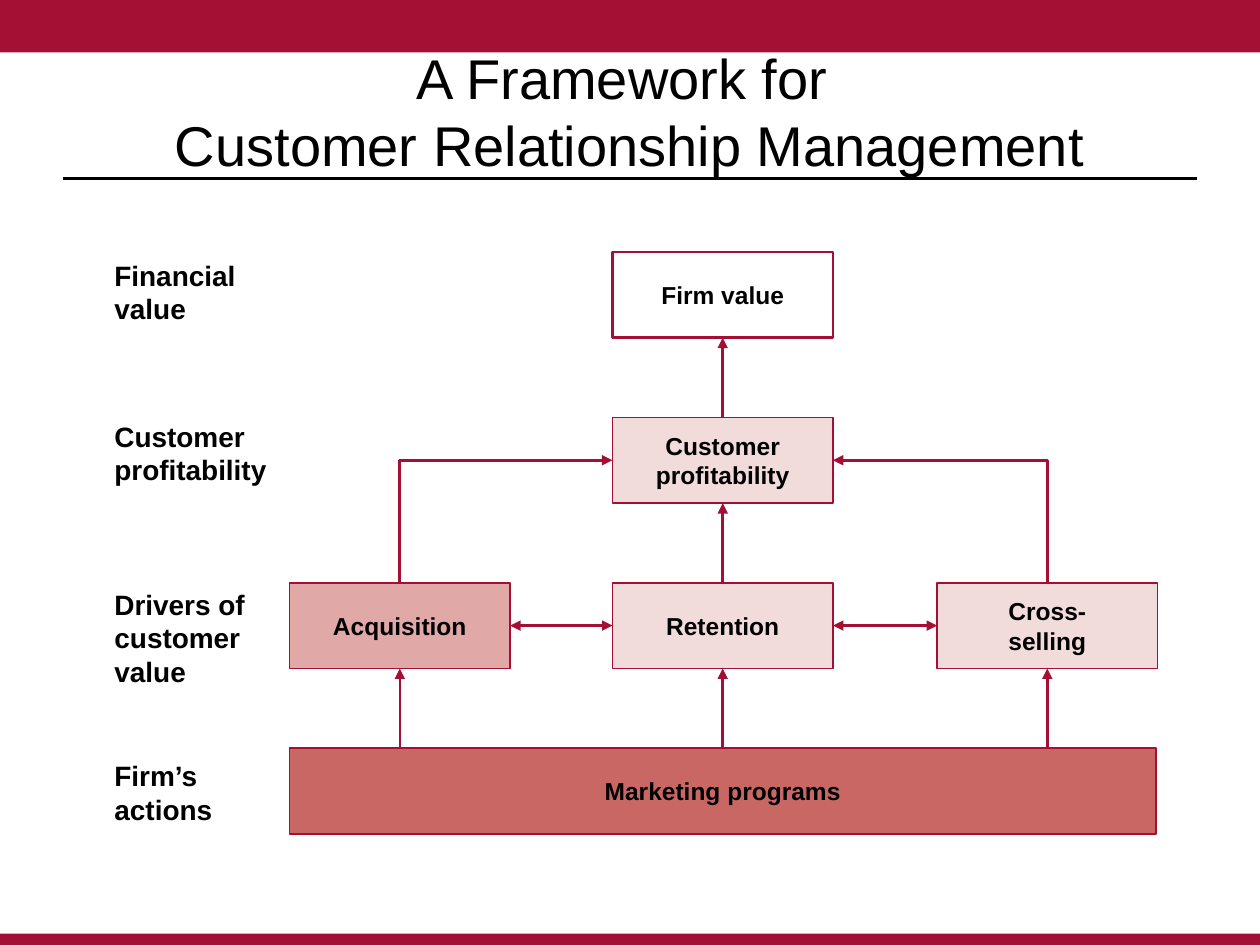
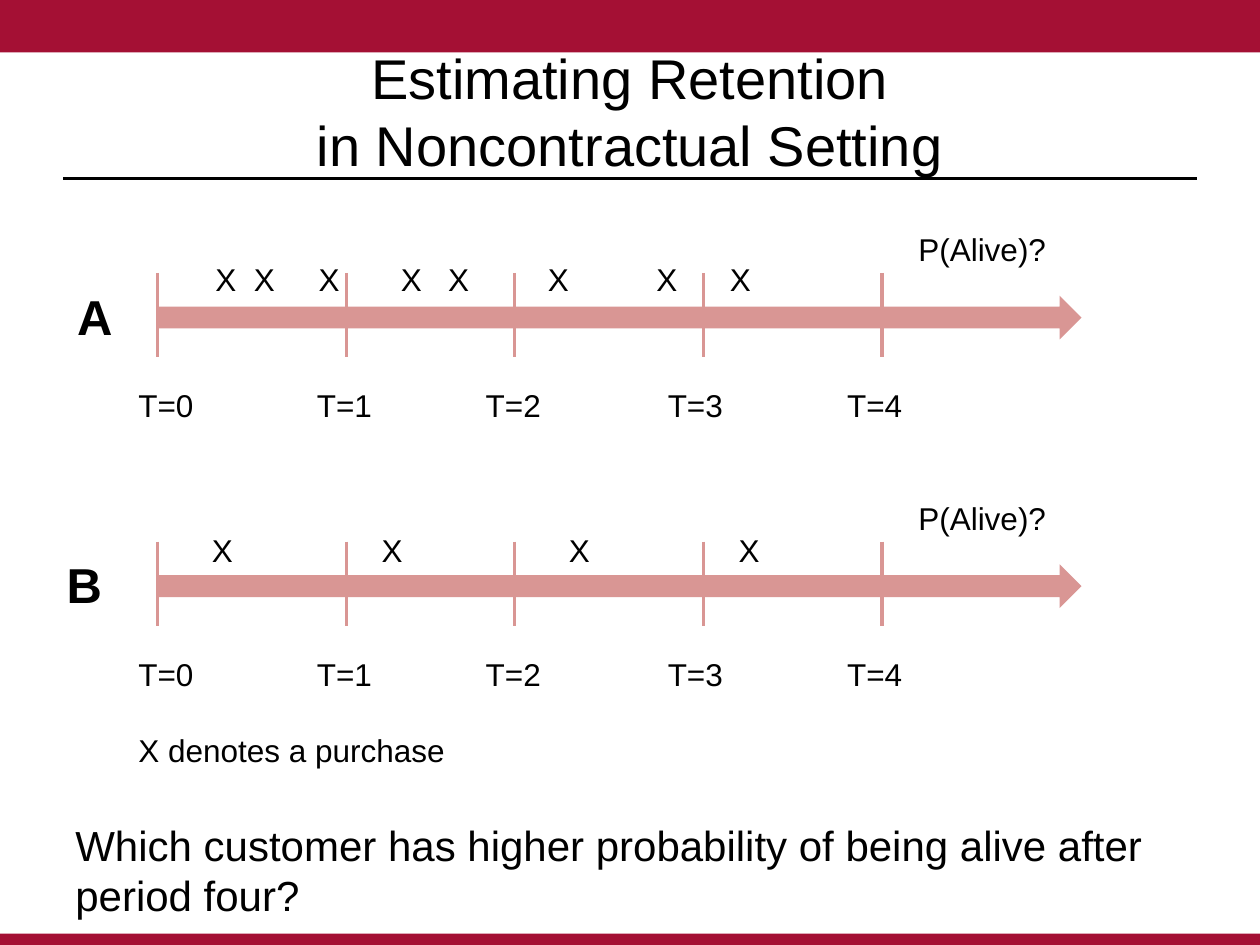
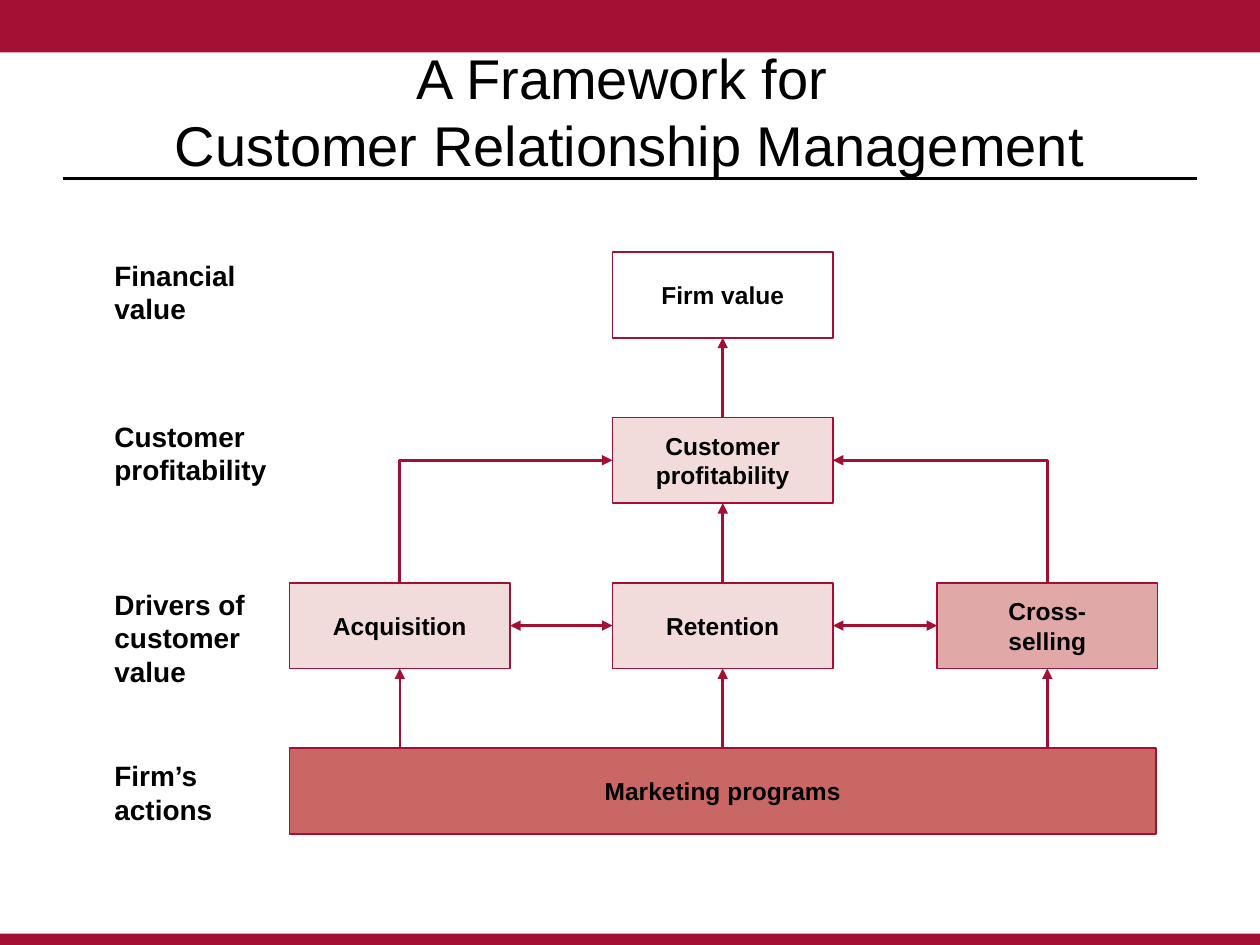
from lxml import etree
from pptx import Presentation
from pptx.dml.color import RGBColor
from pptx.enum.shapes import MSO_CONNECTOR, MSO_SHAPE
from pptx.enum.text import MSO_ANCHOR, MSO_AUTO_SIZE, PP_ALIGN
from pptx.oxml.ns import qn
from pptx.util import Pt

RECTANGLE = MSO_SHAPE.RECTANGLE
RIGHT_ARROW = MSO_SHAPE.RIGHT_ARROW
STRAIGHT = MSO_CONNECTOR.STRAIGHT
ELBOW = MSO_CONNECTOR.ELBOW
CENTER = PP_ALIGN.CENTER
LEFT = PP_ALIGN.LEFT
MIDDLE = MSO_ANCHOR.MIDDLE
TOP_SIDE, LEFT_SIDE, BOTTOM_SIDE, RIGHT_SIDE = range(4)

FONT = "Arial"
CRIMSON, BLACK = "A41034", "000000"
PALE, ROSE, BRICK, TIMELINE = "F2DCDB", "E0A9A8", "C96765", "D99694"
PAGE_WIDTH, PAGE_HEIGHT = 720, 540

BOX_WIDTH, BOX_HEIGHT = 126, 49
COLUMNS = [165.5, 350, 535.5]
ROWS = [144 + 94.5 * number for number in range(4)]
LEVELS = [
    (144, ["Financial", "value"]),
    (236, ["Customer", "profitability"]),
    (332, ["Drivers of", "customer value"]),
    (430, ["Firm’s actions"]),
]

TICKS = [90, 198, 294, 402, 504]
PERIOD_TABS = [102, 198.5, 302.5, 405]
TIMELINE_PITCH = 153.5


def color(value):
    return RGBColor.from_string(value)


def set_format(target, values):
    for name, value in values.items():
        setattr(target, name, value)


def format_spans(paragraph, size, bold=False):
    for span in paragraph.runs:
        set_format(span.font, {"name": FONT, "size": Pt(size), "bold": bold})
        span.font.color.rgb = color(BLACK)


def write(box, lines, size, bold=False, align=LEFT):
    """Fill a box with one paragraph for each line."""
    frame = box.text_frame
    frame.word_wrap = True
    frame.text = "\n".join(lines)
    for paragraph in frame.paragraphs:
        paragraph.alignment = align
        format_spans(paragraph, size, bold)


def add_text(page, area, lines, size, bold=False):
    box = page.shapes.add_textbox(*map(Pt, area))
    write(box, lines, size, bold)
    return box


def add_tabbed_text(page, area, words, stops, size):
    """Set words in one line, each after the first at its own tab stop."""
    box = add_text(page, area, ["\t".join(words)], size)
    properties = box.text_frame.paragraphs[0]._p.get_or_add_pPr()
    tabs = etree.SubElement(properties, qn("a:tabLst"))
    for stop in stops:
        etree.SubElement(tabs, qn("a:tab"), pos=str(int(Pt(stop))), algn="l")


def add_block(page, area, fill=None, line=None, line_width=1, kind=RECTANGLE):
    block = page.shapes.add_shape(kind, *map(Pt, area))
    block.shadow.inherit = False
    if fill:
        block.fill.solid()
        block.fill.fore_color.rgb = color(fill)
    else:
        block.fill.background()
    if line:
        block.line.color.rgb = color(line)
        block.line.width = Pt(line_width)
    else:
        block.line.fill.background()
    return block


def add_line(page, start, end, line, width, heads=(), kind=STRAIGHT):
    """Draw a connector; heads names its arrow ends, headEnd before tailEnd."""
    connector = page.shapes.add_connector(kind, *map(Pt, (*start, *end)))
    connector.line.color.rgb = color(line)
    connector.line.width = Pt(width)
    outline = connector.line._get_or_add_ln()
    for head in heads:
        etree.SubElement(outline, qn(f"a:{head}"), type="triangle")
    etree.SubElement(connector.element.spPr, qn("a:effectLst"))
    return connector


def side_point(box, side):
    """Give the middle of a side of a box, in points."""
    across, down = [(0.5, 0), (0, 0.5), (0.5, 1), (1, 0.5)][side]
    return ((box.left + box.width * across) / Pt(1),
            (box.top + box.height * down) / Pt(1))


def join(page, first, first_side, second, second_side, heads, kind=STRAIGHT):
    connector = add_line(page, side_point(first, first_side),
                         side_point(second, second_side), CRIMSON, 1.5, heads, kind)
    connector.begin_connect(first, first_side)
    connector.end_connect(second, second_side)
    return connector


def join_around_corner(page, first, first_side, second):
    connector = join(page, first, first_side, second, TOP_SIDE, ["headEnd"], ELBOW)
    connector.element.spPr.find(qn("a:prstGeom")).set("prst", "bentConnector2")


def style_titles(deck, layout):
    styles = deck.slide_master.element.find(qn("p:txStyles"))
    font = next(styles.find(qn("p:titleStyle")).iter(qn("a:defRPr")))
    font.set("sz", "3200")
    font.find(qn("a:latin")).set("typeface", FONT)
    set_format(layout.placeholders[0], {
        "left": Pt(36), "top": Pt(18), "width": Pt(648), "height": Pt(90)})


def move_bands_to_layout(page, layout):
    """Draw the bands and the title rule, then share them through the layout."""
    bands = [
        add_block(page, (0, 0, PAGE_WIDTH, 30), CRIMSON),
        add_block(page, (0, 533.5, PAGE_WIDTH, 6.5), CRIMSON),
        add_line(page, (36, 102), (684, 102), BLACK, 1.25),
    ]
    for band in bands:
        layout.shapes.element.append(band.element)


def add_page(deck, layout, title):
    page = deck.slides.add_slide(layout)
    frame = page.shapes.title.text_frame
    set_format(frame, {"vertical_anchor": MIDDLE, "auto_size": MSO_AUTO_SIZE.NONE})
    paragraph = frame.paragraphs[0]
    paragraph.text = title
    paragraph.alignment = CENTER
    format_spans(paragraph, 32)
    return page


def add_node(page, column, row, lines, fill=PALE, line_width=1, width=BOX_WIDTH):
    area = (COLUMNS[column], ROWS[row], width, BOX_HEIGHT)
    node = add_block(page, area, fill, CRIMSON, line_width)
    node.text_frame.vertical_anchor = MIDDLE
    write(node, lines, 14, True, CENTER)
    return node


def add_framework(deck, layout, highlighted, value_line_width):
    """Build the framework page with one driver highlighted."""
    page = add_page(deck, layout, "A Framework for \nCustomer Relationship Management")
    value = add_node(page, 1, 0, ["Firm value"], None, value_line_width)
    profit = add_node(page, 1, 1, ["Customer profitability"])
    names = [["Acquisition"], ["Retention"], ["Cross-", "selling"]]
    drivers = [add_node(page, column, 2, lines, ROSE if column == highlighted else PALE)
               for column, lines in enumerate(names)]
    acquisition, retention, cross_selling = drivers
    programs = add_node(page, 0, 3, ["Marketing programs"], BRICK, width=495)

    join_around_corner(page, profit, LEFT_SIDE, acquisition)
    join_around_corner(page, profit, RIGHT_SIDE, cross_selling)
    for lower, upper in [(retention, profit), (profit, value), (programs, retention)]:
        join(page, lower, TOP_SIDE, upper, BOTTOM_SIDE, ["tailEnd"])
    for driver in (acquisition, cross_selling):
        end = side_point(driver, BOTTOM_SIDE)
        arrow = add_line(page, (end[0], ROWS[3]), end, CRIMSON, 1.5, ["tailEnd"])
        arrow.end_connect(driver, BOTTOM_SIDE)
    for first, second in zip(drivers, drivers[1:]):
        join(page, first, RIGHT_SIDE, second, LEFT_SIDE, ["headEnd", "tailEnd"])

    for top, lines in LEVELS:
        add_text(page, (58.3, top, 110, 46), lines, 16, True)


def add_timeline(page, number, letter, letter_left, marks_at, mark_stops):
    shift = number * TIMELINE_PITCH
    add_block(page, (90, 169 + shift, 528, 25), TIMELINE, kind=RIGHT_ARROW)
    for tick in TICKS:
        add_line(page, (tick, 156 + shift), (tick, 204 + shift), TIMELINE, 2)
    periods = [f"T={period}" for period in range(len(TICKS))]
    add_tabbed_text(page, (72, 217 + shift, 465, 29), periods, PERIOD_TABS, 18)
    add_text(page, (517.7, 128 + shift, 92, 29), ["P(Alive)?"], 18)
    marks = ["X"] * (len(mark_stops) + 1)
    add_tabbed_text(page, (*marks_at, 335, 29), marks, mark_stops, 18)
    add_text(page, (letter_left, 160 + shift, 40, 41), [letter], 28, True)


def add_retention(deck, layout):
    page = add_page(deck, layout, "Estimating Retention\nin Noncontractual Setting")
    add_timeline(page, 0, "A", 37, (116, 145), [22, 59, 106, 133, 190, 252, 294])
    add_timeline(page, 1, "B", 31, (114, 300), [97, 204, 301])
    add_text(page, (72, 414, 200, 29), ["X denotes a purchase"], 18)
    add_text(page, (36, 464.5, 648, 63), [
        "Which customer has higher probability of being alive after period four?"], 24)


def main():
    deck = Presentation()
    set_format(deck, {"slide_width": Pt(PAGE_WIDTH), "slide_height": Pt(PAGE_HEIGHT)})
    layout = deck.slide_layouts.get_by_name("Title Only")
    style_titles(deck, layout)
    add_framework(deck, layout, highlighted=0, value_line_width=1.5)
    add_retention(deck, layout)
    add_framework(deck, layout, highlighted=2, value_line_width=1)
    move_bands_to_layout(deck.slides[0], layout)
    deck.save("out.pptx")


if __name__ == "__main__":
    main()
